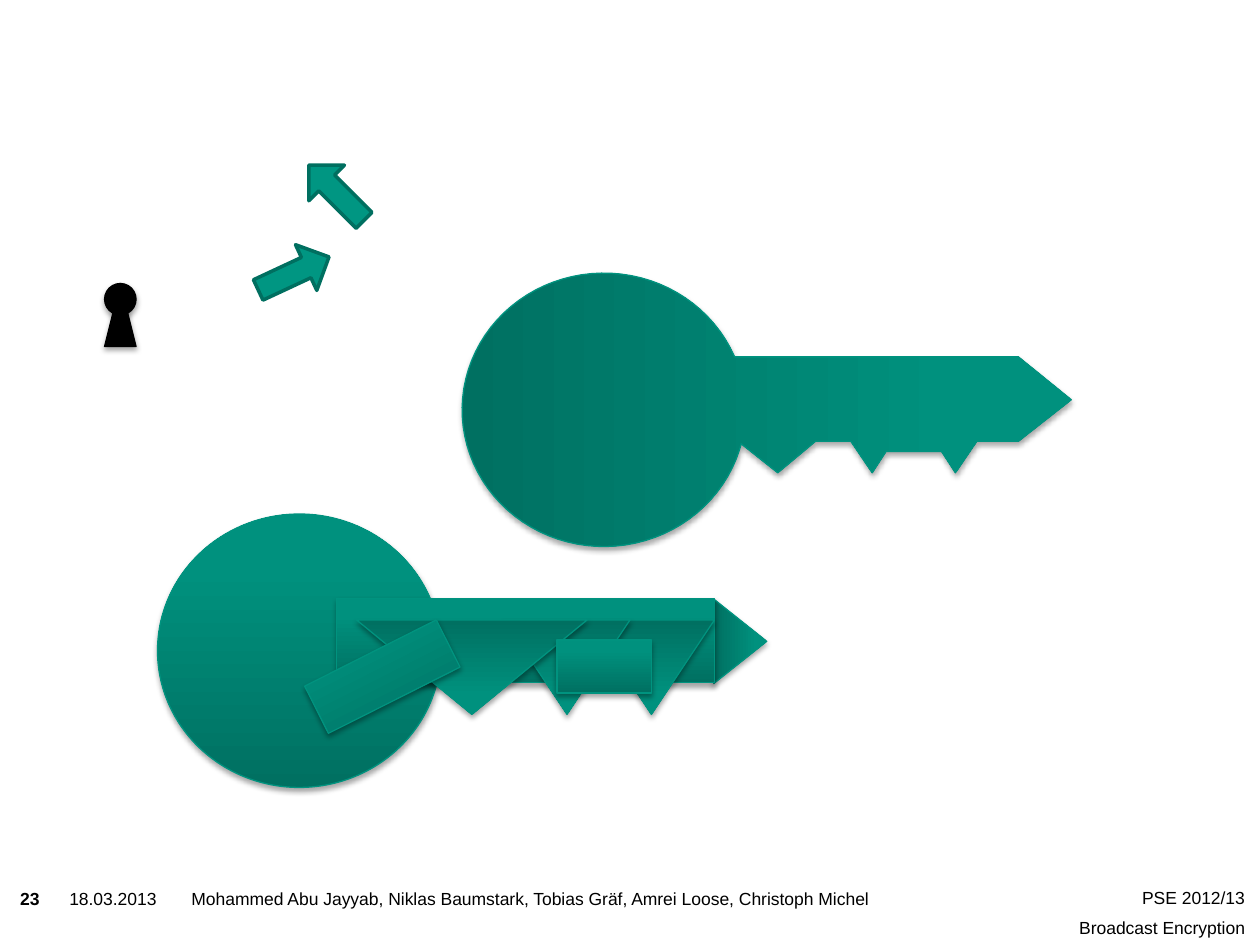
from copy import deepcopy
from dataclasses import dataclass
from math import cos, radians, sin

from lxml.etree import SubElement
from pptx import Presentation
from pptx.dml.color import RGBColor
from pptx.enum.shapes import MSO_SHAPE
from pptx.enum.text import MSO_AUTO_SIZE, PP_ALIGN
from pptx.oxml.ns import qn
from pptx.shapes.autoshape import Shape
from pptx.slide import Slide
from pptx.util import Inches, Pt


@dataclass(frozen=True)
class Theme:
    font: str = "Arial"
    footer_size: Pt = Pt(10)
    footer_gap: Pt = Pt(5)
    thin: Pt = Pt(0.75)
    thick: Pt = Pt(2)
    black: RGBColor = RGBColor(0, 0, 0)
    key_line: RGBColor = RGBColor.from_string("00937F")
    arrow_fill: RGBColor = RGBColor.from_string("009682")
    arrow_line: RGBColor = RGBColor.from_string("006F60")
    key_stops: tuple = ((0, "007061"), (0.8, "00917E"), (1, "00927F"))


@dataclass(frozen=True)
class Part:
    kind: MSO_SHAPE
    left: float
    top: float
    width: float
    height: float
    rotation: float = 0


@dataclass(frozen=True)
class Footer:
    lines: tuple
    left: float
    top: float
    width: float
    height: float
    align: PP_ALIGN = PP_ALIGN.LEFT
    bold: bool = False


THEME = Theme()

KEY_PARTS = (
    Part(MSO_SHAPE.ISOSCELES_TRIANGLE, 5.54, 4.88, 0.67, 0.42, 90),
    Part(MSO_SHAPE.OVAL, 1.25, 4.08, 2.25, 2.17),
    Part(MSO_SHAPE.RECTANGLE, 2.67, 4.75, 3, 0.67),
    Part(MSO_SHAPE.ISOSCELES_TRIANGLE, 4.67, 4.92, 1, 0.75, 180),
    Part(MSO_SHAPE.ISOSCELES_TRIANGLE, 4, 4.92, 1, 0.75, 180),
    Part(MSO_SHAPE.ISOSCELES_TRIANGLE, 2.83, 4.92, 1.83, 0.75, 180),
    Part(MSO_SHAPE.RECTANGLE, 2.45, 5.16, 1.17, 0.42, 333.3),
    Part(MSO_SHAPE.RECTANGLE, 4.42, 5.08, 0.75, 0.42),
)
KEYHOLE_PARTS = (
    Part(MSO_SHAPE.OVAL, 0.83, 2.25, 0.25, 0.25),
    Part(MSO_SHAPE.ISOSCELES_TRIANGLE, 0.83, 2.25, 0.25, 0.5),
)
ARROWS = (
    Part(MSO_SHAPE.DOWN_ARROW, 2.47, 1.22, 0.4, 0.62, 135),
    Part(MSO_SHAPE.DOWN_ARROW, 2.13, 1.86, 0.4, 0.62, 245),
)
KEY_BLADE = (
    (5.83, 2.83), (8.08, 2.83), (8.5, 3.17), (8.08, 3.5), (7.75, 3.5),
    (7.58, 3.75), (7.47, 3.58), (7.03, 3.58), (6.92, 3.75), (6.75, 3.5),
    (6.47, 3.5), (6.17, 3.75), (5.88, 3.52),
)
FOOTERS = (
    Footer(("PSE 2012/13", "Broadcast Encryption"), 7.67, 7.04, 2.21, 0.39, PP_ALIGN.RIGHT),
    Footer(("23",), 0.16, 7.05, 0.36, 0.24, bold=True),
    Footer(("18.03.2013",), 0.55, 7.05, 0.94, 0.39),
    Footer(
        ("Mohammed Abu Jayyab, Niklas Baumstark, Tobias Gräf, Amrei Loose, Christoph Michel",),
        1.52, 7.05, 5.63, 0.17,
    ),
)


def add_part(page: Slide, part: Part) -> Shape:
    lengths = map(Inches, (part.left, part.top, part.width, part.height))
    shape = page.shapes.add_shape(part.kind, *lengths)
    shape.rotation = part.rotation
    return shape


def paint_flat(shape: Shape, fill: RGBColor, line: RGBColor, weight: Pt) -> None:
    shape.shadow.inherit = False
    shape.fill.solid()
    shape.fill.fore_color.rgb = fill
    shape.line.color.rgb = line
    shape.line.width = weight


def paint_key(shape: Shape) -> None:
    """Fill with the key gradient, dark at the shape's own bottom edge."""
    shape.fill.gradient()
    shape.fill.gradient_angle = 90
    stop_list = next(shape.element.spPr.iter(qn("a:gsLst")))
    stop_list.append(deepcopy(stop_list[-1]))
    for stop, (position, color) in zip(shape.fill.gradient_stops, THEME.key_stops):
        stop.position = position
        stop.color.rgb = RGBColor.from_string(color)
    shape.line.color.rgb = THEME.key_line
    shape.line.width = THEME.thin
    cast_shadow(shape)


def cast_shadow(shape: Shape) -> None:
    shape.shadow.inherit = False
    effects = shape.element.spPr.find(qn("a:effectLst"))
    shadow = SubElement(
        effects, qn("a:outerShdw"), blurRad=str(Pt(3.1)), dist=str(Pt(1.8)),
        dir="5400000", rotWithShape="0",
    )
    color = SubElement(shadow, qn("a:srgbClr"), val="000000")
    SubElement(color, qn("a:alpha"), val="35000")


def add_whole_key(page: Slide) -> None:
    """Draw the key as one outline, upright and then turned by 90 degrees."""
    bow = [
        (4.79 + 1.125 * cos(radians(angle)), 3.25 + 1.085 * sin(radians(angle)))
        for angle in range(17, 338, 4)
    ]
    middle_x, middle_y = 6.085, 3.25
    upright = [
        (Inches(middle_x + y - middle_y), Inches(middle_y - x + middle_x))
        for x, y in (*KEY_BLADE, *bow)
    ]
    builder = page.shapes.build_freeform(*upright[0])
    builder.add_line_segments(upright[1:], close=True)
    key = builder.convert_to_shape()
    key.rotation = 90
    paint_key(key)


def add_footer(page: Slide, footer: Footer) -> None:
    lengths = map(Inches, (footer.left, footer.top, footer.width, footer.height))
    frame = page.shapes.add_textbox(*lengths).text_frame
    frame.margin_left = frame.margin_right = frame.margin_top = frame.margin_bottom = 0
    frame.word_wrap = True
    frame.auto_size = MSO_AUTO_SIZE.NONE
    frame.text = "\n".join(footer.lines)
    for index, para in enumerate(frame.paragraphs):
        para.alignment = footer.align
        para.space_before = THEME.footer_gap if index else Pt(0)
        para.font.name = THEME.font
        para.font.size = THEME.footer_size
        para.font.bold = footer.bold
        para.font.color.rgb = THEME.black


def main() -> None:
    deck = Presentation()
    deck.slide_width, deck.slide_height = Inches(10), Inches(7.5)
    page = deck.slides.add_slide(deck.slide_layouts[6])
    for footer in FOOTERS:
        add_footer(page, footer)
    for part in KEY_PARTS:
        paint_key(add_part(page, part))
    add_whole_key(page)
    for part in KEYHOLE_PARTS:
        shape = add_part(page, part)
        paint_flat(shape, THEME.black, THEME.black, THEME.thin)
        cast_shadow(shape)
    for part in ARROWS:
        arrow = add_part(page, part)
        arrow.adjustments[0] = 0.445
        paint_flat(arrow, THEME.arrow_fill, THEME.arrow_line, THEME.thick)
    deck.save("out.pptx")


if __name__ == "__main__":
    main()
